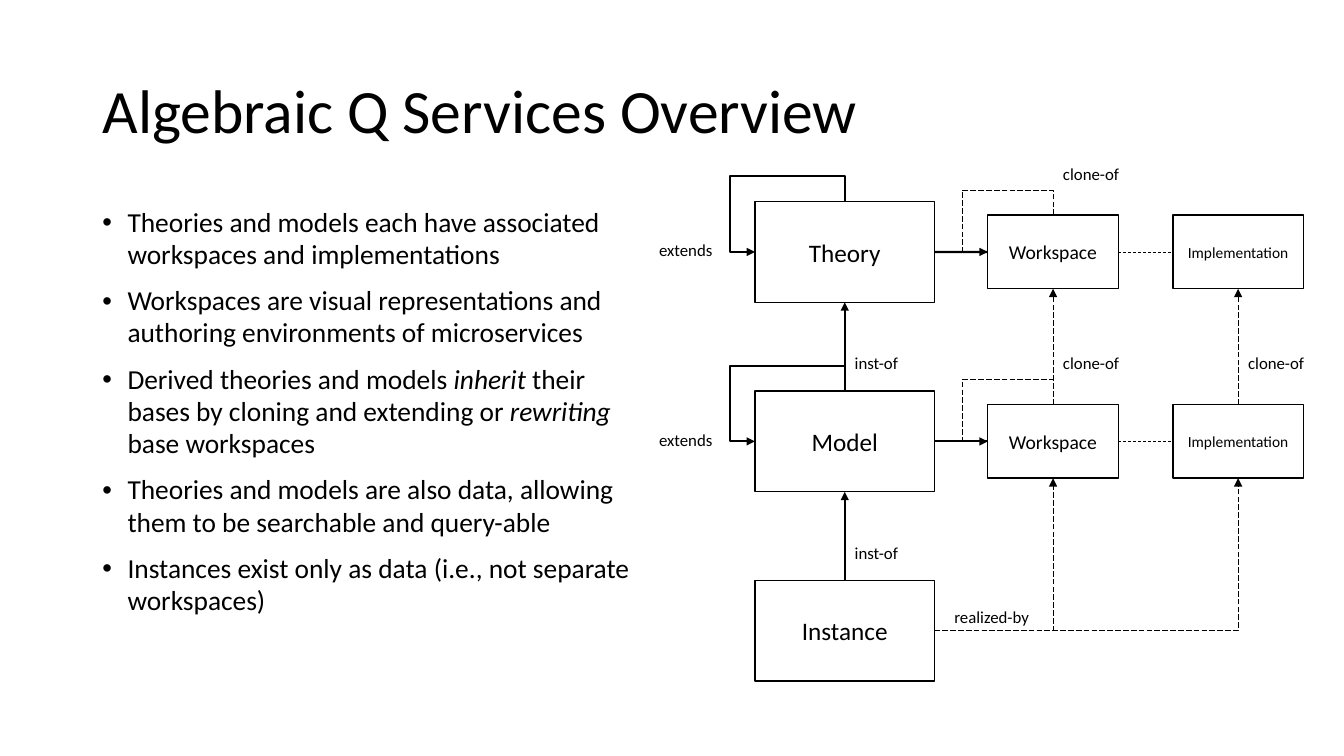
from dataclasses import dataclass

from lxml import etree
from pptx import Presentation
from pptx import util as u
from pptx.dml.color import RGBColor
from pptx.enum import dml, shapes, text
from pptx.oxml.ns import qn

COLORS = {"ink": "000000", "paper": "FFFFFF"}
FONT = "Calibri"
TOP, LEFT, BOTTOM, RIGHT = range(4)
ROWS = [180 + 135.3 * row for row in range(3)]
LOOP_REACH = 18
DASH, LONG_DASH = dml.MSO_LINE.DASH, dml.MSO_LINE.LONG_DASH


@dataclass(frozen=True)
class Column:
    center: float
    width: float
    height: float
    size: float
    names: tuple


@dataclass(frozen=True)
class Label:
    words: str
    left: float
    top: float
    width: float


MAIN = Column(603.4, 128.2, 72, 18, ("Theory", "Model", "Instance"))
WORK = Column(752.2, 93.2, 52.6, 14, ("Workspace", "Workspace"))
IMPL = Column(884.4, 93.2, 52.6, 11, ("Implementation", "Implementation"))

ABOVE = [center - 66.6 for center in ROWS]
LABELS = [
    *(Label("inst-of", MAIN.center, ABOVE[row], 46.8) for row in (1, 2)),
    *(Label("extends", 463.7, ROWS[row] - 12.2, 55.4) for row in (0, 1)),
    *(Label("clone-of", WORK.center, ABOVE[row], 56.2) for row in (0, 1)),
    Label("clone-of", IMPL.center, ABOVE[1], 56.2),
    Label("realized-by", 674.6, 429.8, 70.6),
]

# Each bullet alternates plain and italic stretches.
BULLETS = [
    ["Theories and models each have associated workspaces and implementations"],
    ["Workspaces are visual representations and authoring environments of microservices"],
    ["Derived theories and models ", "inherit",
     " their bases by cloning and extending or ", "rewriting", " base workspaces"],
    ["Theories and models are also data, allowing them to be searchable and query-able"],
    ["Instances exist only as data (i.e., not separate workspaces)"],
]


def color(name: str) -> RGBColor:
    return RGBColor.from_string(COLORS[name])


def write(para, words: str, *, size: float, italic: bool = False, align=text.PP_ALIGN.LEFT) -> None:
    para.alignment = align
    span = para.add_run()
    span.text = words
    span.font.name = FONT
    span.font.size = u.Pt(size)
    span.font.italic = italic
    span.font.color.rgb = color("ink")


def add_title(page) -> None:
    title = page.shapes.title
    title.left, title.top, title.width, title.height = map(u.Pt, (66, 28.8, 828, 104.4))
    title.text_frame.auto_size = text.MSO_AUTO_SIZE.NONE
    title.text_frame.vertical_anchor = text.MSO_ANCHOR.MIDDLE
    para = title.text_frame.paragraphs[0]
    para.line_spacing = 0.9
    write(para, "Algebraic Q Services Overview", size=44)


def add_bullets(page) -> None:
    frame = page.shapes.add_textbox(*map(u.Pt, (66, 144, 408, 342.7))).text_frame
    frame.word_wrap = True
    for index, stretches in enumerate(BULLETS):
        para = frame.add_paragraph() if index else frame.paragraphs[0]
        para.space_before = u.Pt(10)
        para.line_spacing = 0.98
        for part, words in enumerate(stretches):
            write(para, words, size=19.6, italic=part % 2 == 1)
        props = para._p.get_or_add_pPr()
        props.set("marL", str(u.Pt(18)))
        props.set("indent", str(u.Pt(-18)))
        etree.SubElement(props, qn("a:buFont"), typeface="Arial")
        etree.SubElement(props, qn("a:buChar"), char="•")


def add_box(page, column: Column, row: int):
    box = page.shapes.add_shape(
        shapes.MSO_SHAPE.RECTANGLE,
        u.Pt(column.center - column.width / 2), u.Pt(ROWS[row] - column.height / 2),
        u.Pt(column.width), u.Pt(column.height))
    box.shadow.inherit = False
    box.fill.solid()
    box.fill.fore_color.rgb = color("paper")
    box.line.color.rgb = color("ink")
    box.line.width = u.Pt(1)
    frame = box.text_frame
    frame.vertical_anchor = text.MSO_ANCHOR.MIDDLE
    write(frame.paragraphs[0], column.names[row], size=column.size, align=text.PP_ALIGN.CENTER)
    return box


def side_middle(box, side: int) -> tuple:
    across = {LEFT: 0, RIGHT: box.width}.get(side, box.width // 2)
    down = {TOP: 0, BOTTOM: box.height}.get(side, box.height // 2)
    return box.left + across, box.top + down


def style_line(line, weight: float, dash=None, arrow: bool = True) -> None:
    line.line.color.rgb = color("ink")
    line.line.width = u.Pt(weight)
    if dash is not None:
        line.line.dash_style = dash
    if arrow:
        etree.SubElement(line.line._get_or_add_ln(), qn("a:tailEnd"), type="triangle")
    etree.SubElement(line._element.spPr, qn("a:effectLst"))


def add_straight(page, start, start_side: int, end, end_side: int, weight: float, **style) -> None:
    line = page.shapes.add_connector(
        shapes.MSO_CONNECTOR.STRAIGHT, *side_middle(start, start_side), *side_middle(end, end_side))
    line.begin_connect(start, start_side)
    line.end_connect(end, end_side)
    style_line(line, weight, **style)


def add_corner(page, start, end) -> None:
    """Run right from one box, then up into the bottom of another."""
    line = page.shapes.add_connector(
        shapes.MSO_CONNECTOR.ELBOW, *side_middle(start, RIGHT), *side_middle(end, BOTTOM))
    line._element.spPr.find(qn("a:prstGeom")).set("prst", "bentConnector2")
    style_line(line, 0.5, dash=LONG_DASH)


def add_loop(page, box, weight: float, **style) -> None:
    """Lead from the top of a box around its corner into its left side."""
    across, down = box.width // 2, box.height // 2
    left = box.left + (across - down) // 2
    top = box.top + (down - across) // 2
    line = page.shapes.add_connector(
        shapes.MSO_CONNECTOR.ELBOW, left, top, left + down, top + across)
    frame = line._element.spPr.find(qn("a:xfrm"))
    for name, value in (("rot", "16200000"), ("flipH", "1"), ("flipV", "1")):
        frame.set(name, value)
    geometry = line._element.spPr.find(qn("a:prstGeom"))
    geometry.set("prst", "bentConnector4")
    guides = geometry.find(qn("a:avLst"))
    if guides is None:
        guides = etree.SubElement(geometry, qn("a:avLst"))
    reach = u.Pt(LOOP_REACH)
    for name, ratio in (("adj1", -reach / down), ("adj2", 1 + reach / across)):
        etree.SubElement(guides, qn("a:gd"), name=name, fmla=f"val {round(ratio * 100000)}")
    style_line(line, weight, **style)


def add_label(page, label: Label) -> None:
    box = page.shapes.add_textbox(*map(u.Pt, (label.left, label.top, label.width, 21.8)))
    box.text_frame.word_wrap = False
    box.text_frame.auto_size = text.MSO_AUTO_SIZE.SHAPE_TO_FIT_TEXT
    write(box.text_frame.paragraphs[0], label.words, size=12)


def main() -> None:
    deck = Presentation()
    deck.slide_width, deck.slide_height = u.Pt(960), u.Pt(540)
    page = deck.slides.add_slide(deck.slide_layouts.get_by_name("Title Only"))
    add_title(page)
    add_bullets(page)
    mains, works, impls = (
        [add_box(page, column, row) for row in range(len(column.names))]
        for column in (MAIN, WORK, IMPL))
    for upper, lower in zip(mains, mains[1:]):
        add_straight(page, lower, TOP, upper, BOTTOM, 1.5)
    for main_box, work, impl in zip(mains, works, impls):
        add_loop(page, main_box, 1.5)
        add_loop(page, work, 0.5, dash=LONG_DASH)
        add_straight(page, main_box, RIGHT, work, LEFT, 1.5, arrow=False)
        add_straight(page, work, RIGHT, impl, LEFT, 0.5, dash=DASH, arrow=False)
    for upper, lower in (works, impls):
        add_straight(page, lower, TOP, upper, BOTTOM, 0.5, dash=LONG_DASH)
        add_corner(page, mains[2], lower)
    for label in LABELS:
        add_label(page, label)
    deck.save("out.pptx")


if __name__ == "__main__":
    main()
